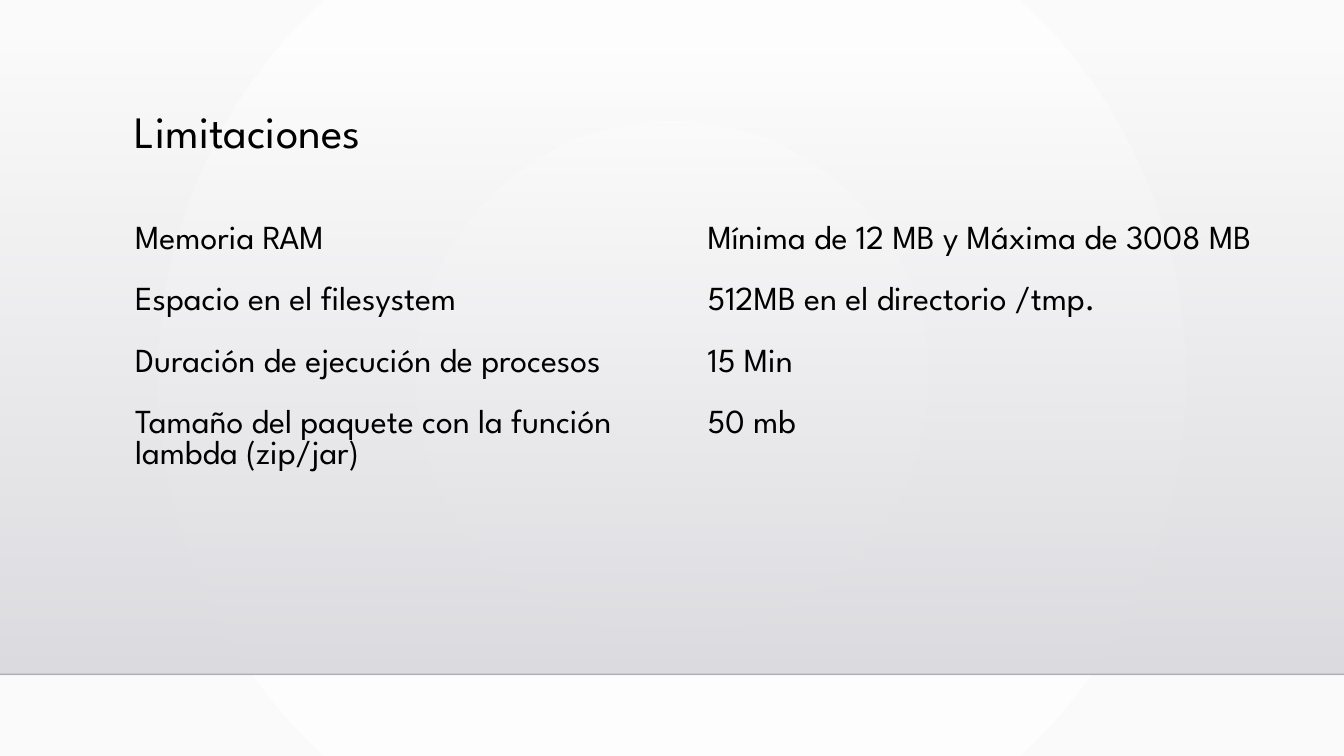
from lxml import etree
from pptx import Presentation
from pptx.dml.color import RGBColor
from pptx.enum.shapes import MSO_CONNECTOR, MSO_SHAPE
from pptx.enum.text import MSO_ANCHOR
from pptx.oxml import parse_xml
from pptx.oxml.ns import nsdecls, qn
from pptx.util import Pt

RECTANGLE = MSO_SHAPE.RECTANGLE
STRAIGHT = MSO_CONNECTOR.STRAIGHT
TOP = MSO_ANCHOR.TOP

# Content
TITLE = "Limitaciones"
LIMITS = [
    ("Memoria RAM", "Mínima de 12 MB y Máxima de 3008 MB"),
    ("Espacio en el filesystem", "512MB en el directorio /tmp."),
    ("Duración de ejecución de procesos", "15 Min"),
    ("Tamaño del paquete con la función lambda (zip/jar)", "50 mb"),
]

# Style
FONT = "League Spartan"
COLORS = {
    "text": "000000",
    "center": "FFFFFF",
    "edge": "FAFAFA",
    "shade_top": "DCDCE0",
    "shade_bottom": "DEDEE2",
    "floor": "000001",
}
NO_STYLE_NO_GRID = "{2D5ABB26-0587-4C30-8999-92F81FD0307C}"
RADIAL = '<a:path path="circle"><a:fillToRect l="50000" t="50000" r="50000" b="50000"/></a:path>'
DOWNWARD = '<a:lin ang="5400000" scaled="0"/>'

# Layout in points
WIDTH, HEIGHT = 960, 540
LEFT = 89.28
TITLE_TOP, TITLE_WIDTH, TITLE_HEIGHT = 74.88, 756, 82.8
TABLE_TOP, COLUMN_WIDTH = 157.68, 408.96
ROW_HEIGHTS = [43.92] * 3 + [75.6]
SHADE_TOP, FLOOR = 36.72, 481.68


def write_text(frame, text, size, spacing=None):
    paragraph = frame.paragraphs[0]
    paragraph.line_spacing = spacing
    run = paragraph.add_run()
    run.text = text
    run.font.name = FONT
    run.font.size = Pt(size)
    run.font.color.rgb = RGBColor.from_string(COLORS["text"])


def set_gradient(fill, properties, stops, direction):
    """Fill with two stops, each a colour name and an opacity in percent."""
    fill.solid()
    stop_xml = "".join(
        f'<a:gs pos="{index * 100000}"><a:srgbClr val="{COLORS[name]}">'
        f'<a:alpha val="{opacity * 1000}"/></a:srgbClr></a:gs>'
        for index, (name, opacity) in enumerate(stops)
    )
    gradient = parse_xml(
        f'<a:gradFill {nsdecls("a")} rotWithShape="1">'
        f"<a:gsLst>{stop_xml}</a:gsLst>{direction}</a:gradFill>"
    )
    properties.replace(properties.find(qn("a:solidFill")), gradient)


def add_backdrop(slide):
    background_fill = slide.background.fill
    background_fill.solid()
    background = slide.element.find(".//" + qn("p:bgPr"))
    set_gradient(background_fill, background, [("center", 100), ("edge", 100)], RADIAL)

    # Shaded wall
    wall = slide.shapes.add_shape(
        RECTANGLE, 0, Pt(SHADE_TOP), Pt(WIDTH), Pt(FLOOR - SHADE_TOP)
    )
    wall.shadow.inherit = False
    wall.line.fill.background()
    set_gradient(
        wall.fill, wall.element.spPr, [("shade_top", 0), ("shade_bottom", 100)], DOWNWARD
    )

    # Floor line
    floor = slide.shapes.add_connector(STRAIGHT, 0, Pt(FLOOR), Pt(WIDTH), Pt(FLOOR))
    floor.line.width = Pt(1)
    floor.line.color.rgb = RGBColor.from_string(COLORS["floor"])
    properties = floor.element.spPr
    color = properties.find(".//" + qn("a:srgbClr"))
    etree.SubElement(color, qn("a:alpha")).set("val", "20000")
    etree.SubElement(properties, qn("a:effectLst"))


def add_title(slide):
    box = slide.shapes.add_textbox(
        Pt(LEFT), Pt(TITLE_TOP), Pt(TITLE_WIDTH), Pt(TITLE_HEIGHT)
    )
    box.text_frame.word_wrap = True
    box.text_frame.vertical_anchor = TOP
    write_text(box.text_frame, TITLE, size=32, spacing=0.9)


def add_limits_table(slide):
    columns = len(LIMITS[0])
    frame = slide.shapes.add_table(
        len(LIMITS), columns, Pt(LEFT), Pt(TABLE_TOP),
        Pt(COLUMN_WIDTH * columns), Pt(sum(ROW_HEIGHTS)),
    )
    table = frame.table
    table.first_row = False
    table.horz_banding = False
    frame.element.find(".//" + qn("a:tableStyleId")).text = NO_STYLE_NO_GRID
    for column in table.columns:
        column.width = Pt(COLUMN_WIDTH)
    for row, height, texts in zip(table.rows, ROW_HEIGHTS, LIMITS):
        row.height = Pt(height)
        for cell, text in zip(row.cells, texts):
            cell.fill.background()
            write_text(cell.text_frame, text, size=24)


def main():
    presentation = Presentation()
    presentation.slide_width, presentation.slide_height = Pt(WIDTH), Pt(HEIGHT)
    slide = presentation.slides.add_slide(presentation.slide_layouts[6])
    add_backdrop(slide)
    add_title(slide)
    add_limits_table(slide)
    presentation.save("out.pptx")


if __name__ == "__main__":
    main()
